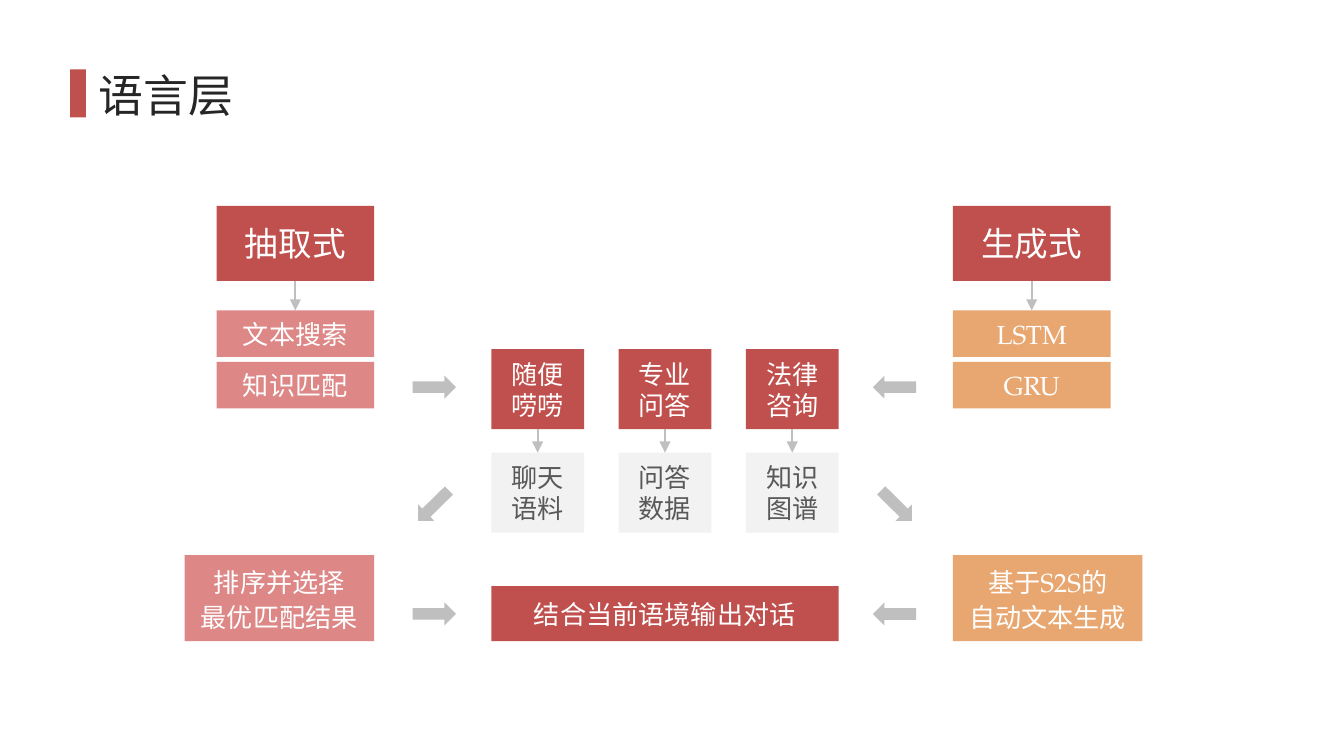
from dataclasses import dataclass

from lxml.etree import SubElement
from pptx import Presentation
from pptx.dml.color import RGBColor
from pptx.enum.shapes import MSO_CONNECTOR, MSO_SHAPE
from pptx.enum.text import MSO_ANCHOR, MSO_AUTO_SIZE, PP_ALIGN
from pptx.oxml.ns import qn
from pptx.util import Pt

COLORS = {
    "red": "C0504D", "pink": "DD8787", "orange": "E8A770", "pale": "F2F2F2",
    "arrow": "BFBFBF", "title": "262626", "body": "595959", "white": "FFFFFF",
}
CJK_FONT = "Noto Sans CJK JP"
LATIN_FONT = "TeX Gyre Pagella"

# Shared grid, in points
LEFT_X, RIGHT_X, SIDE_W = 116, 510.5, 84.5
HEAD_Y, HEAD_H = 110.3, 40.2
METHOD_Y, METHOD_STEP, METHOD_H = 166.3, 27.6, 25
TOPIC_X, TOPIC_STEP, TOPIC_W, TOPIC_H = 263.2, 68.2, 49.7, 42.9
TOPIC_Y, DATA_Y = 187.1, 242.5
RESULT_Y, RESULT_W, RESULT_H = 297.4, 101.6, 46.1


@dataclass
class Box:
    """A filled rectangle; "|" in a line separates Chinese from Latin runs."""
    x: float
    y: float
    width: float
    height: float
    fill: str
    lines: tuple[str, ...] = ()
    size: float = 14
    color: str = "white"
    spacing: float | None = None


@dataclass
class BlockArrow:
    x: float
    y: float
    rotation: float = 0


def rgb(name: str) -> RGBColor:
    return RGBColor.from_string(COLORS[name])


def font_for(text: str) -> str:
    return LATIN_FONT if text.isascii() else CJK_FONT


def write_line(paragraph, line: str, size: float, color: str) -> None:
    parts = line.split("|")
    for part in parts:
        run = paragraph.add_run()
        run.text = part
        if len(parts) > 1:
            run.font.name = font_for(part)
    font = paragraph.font
    font.size = Pt(size)
    font.color.rgb = rgb(color)
    font.name = font_for(line)
    defaults = paragraph._p.pPr.find(qn("a:defRPr"))
    SubElement(defaults, qn("a:ea")).set("typeface", CJK_FONT)


def add_filled(slide, kind, x: float, y: float, width: float, height: float, fill: str):
    shape = slide.shapes.add_shape(kind, Pt(x), Pt(y), Pt(width), Pt(height))
    shape.shadow.inherit = False
    shape.fill.solid()
    shape.fill.fore_color.rgb = rgb(fill)
    shape.line.fill.background()
    return shape


def add_box(slide, box: Box) -> None:
    shape = add_filled(slide, MSO_SHAPE.RECTANGLE, box.x, box.y, box.width, box.height, box.fill)
    frame = shape.text_frame
    frame.word_wrap = True
    frame.vertical_anchor = MSO_ANCHOR.MIDDLE
    for index, line in enumerate(box.lines):
        paragraph = frame.add_paragraph() if index else frame.paragraphs[0]
        paragraph.alignment = PP_ALIGN.CENTER
        if box.spacing:
            paragraph.line_spacing = box.spacing
        write_line(paragraph, line, box.size, box.color)


def add_down_arrow(slide, x: float, top: float, bottom: float) -> None:
    connector = slide.shapes.add_connector(
        MSO_CONNECTOR.STRAIGHT, Pt(x), Pt(top), Pt(x), Pt(bottom))
    connector.line.color.rgb = rgb("arrow")
    connector.line.width = Pt(1)
    SubElement(connector.line._get_or_add_ln(), qn("a:tailEnd")).set("type", "triangle")
    SubElement(connector._element.spPr, qn("a:effectLst"))


def add_block_arrow(slide, arrow: BlockArrow) -> None:
    shape = add_filled(slide, MSO_SHAPE.RIGHT_ARROW, arrow.x, arrow.y, 23.2, 12.4, "arrow")
    shape.rotation = arrow.rotation


def add_title(slide, text: str) -> None:
    title = slide.shapes.title
    title.left, title.top, title.width, title.height = Pt(36), Pt(16.8), Pt(648), Pt(67.5)
    frame = title.text_frame
    frame.auto_size = MSO_AUTO_SIZE.NONE
    frame.vertical_anchor = MSO_ANCHOR.MIDDLE
    frame.margin_left = Pt(17)
    frame.paragraphs[0].alignment = PP_ALIGN.LEFT
    write_line(frame.paragraphs[0], text, 24, "title")


def main() -> None:
    prs = Presentation()
    prs.slide_width, prs.slide_height = Pt(720), Pt(405)
    slide = prs.slides.add_slide(prs.slide_layouts[5])

    # Title with its accent bar
    add_title(slide, "语言层")
    add_box(slide, Box(37.6, 37.2, 8.5, 25.7, "red"))

    # Side columns: approach and its methods
    approaches = (
        (LEFT_X, "抽取式", "pink", ("文本搜索", "知识匹配")),
        (RIGHT_X, "生成式", "orange", ("LSTM", "GRU")),
    )
    for x, approach, fill, methods in approaches:
        add_box(slide, Box(x, HEAD_Y, SIDE_W, HEAD_H, "red", (approach,), size=18))
        for row, method in enumerate(methods):
            y = METHOD_Y + row * METHOD_STEP
            add_box(slide, Box(x, y, SIDE_W, METHOD_H, fill, (method,)))
        add_down_arrow(slide, x + SIDE_W / 2, HEAD_Y + HEAD_H, METHOD_Y)

    # Centre: topics above the data behind them
    topics = (("随便唠唠", "聊天语料"), ("专业问答", "问答数据"), ("法律咨询", "知识图谱"))
    for column, (topic, data) in enumerate(topics):
        x = TOPIC_X + column * TOPIC_STEP
        add_box(slide, Box(x, TOPIC_Y, TOPIC_W, TOPIC_H, "red", (topic,)))
        add_box(slide, Box(x, DATA_Y, TOPIC_W, TOPIC_H, "pale", (data,), color="body"))
        add_down_arrow(slide, x + TOPIC_W / 2, TOPIC_Y + TOPIC_H, DATA_Y)

    # Bottom row: side results and the combined output
    results = (
        Box(LEFT_X + SIDE_W - RESULT_W, RESULT_Y, RESULT_W, RESULT_H, "pink",
            ("排序并选择", "最优匹配结果"), spacing=1.1),
        Box(RIGHT_X, RESULT_Y, RESULT_W, RESULT_H, "orange",
            ("基于|S2S|的", "自动文本生成"), spacing=1.1),
        Box(TOPIC_X, 314, 2 * TOPIC_STEP + TOPIC_W, 29.5, "red", ("结合当前语境输出对话",)),
    )
    for result in results:
        add_box(slide, result)

    # Block arrows: inward on two rows, outward diagonals between
    for y in (201.2, 322.7):
        add_block_arrow(slide, BlockArrow(221.1, y))
        add_block_arrow(slide, BlockArrow(467.6, y, 180))
    add_block_arrow(slide, BlockArrow(220.6, 264.7, 135.5))
    add_block_arrow(slide, BlockArrow(468.7, 264.7, 44.9))

    prs.save("out.pptx")


if __name__ == "__main__":
    main()
